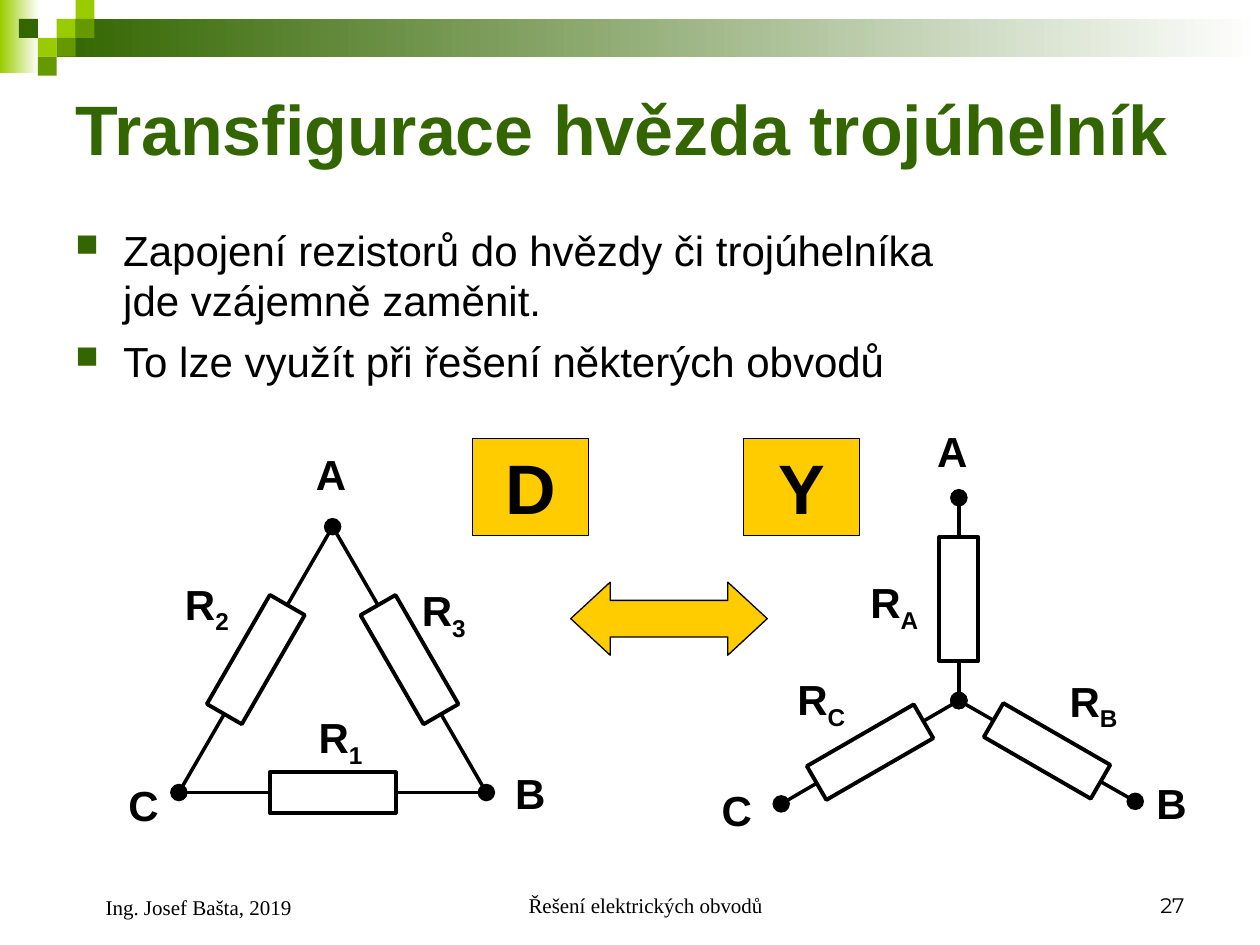
import math
from dataclasses import dataclass
from lxml import etree
from pptx import Presentation, util as u
from pptx.dml.color import RGBColor
from pptx.enum import shapes, text
from pptx.oxml.ns import qn

COLS, ROWS = 100, 75          # square cells of 0.1 inch
CELL = u.Inches(10) / COLS


@dataclass(frozen=True)
class Theme:
    dark: str = "336600"
    mid: str = "669900"
    light: str = "99CC00"
    gold: str = "FFCC00"
    ink: str = "000000"
    paper: str = "FFFFFF"
    font: str = "Arial"
    serif: str = "Times New Roman"
    number: str = "Montserrat"
    title: int = 40
    body: int = 24
    foot: int = 12


T = Theme()


def cells(*values):
    return [u.Emu(round(v * CELL)) for v in values]


def rgb(name):
    return RGBColor.from_string(name)


def add_sub(parent, tag, **attrs):
    return etree.SubElement(parent, qn(tag), attrs)


def shape(s, kind, x, y, w, h, fill, line=None):
    sp = s.shapes.add_shape(kind, *cells(x, y, w, h))
    sp.shadow.inherit = False
    if isinstance(fill, tuple):
        sp.fill.gradient()
        sp.fill.gradient_angle = 180
        for stop, color in zip(sp.fill.gradient_stops, fill):
            stop.color.rgb = rgb(color)
    else:
        sp.fill.solid()
        sp.fill.fore_color.rgb = rgb(fill)
    if line:
        sp.line.color.rgb = rgb(T.ink)
        sp.line.width = u.Pt(line)
    else:
        sp.line.fill.background()
    return sp


def style(p, size, font=T.font, color=T.ink, bold=False, align=None):
    p.font.size, p.font.name, p.font.bold = u.Pt(size), font, bold
    p.font.color.rgb = rgb(color)
    p.alignment = align


def textbox(s, x, y, w, h, anchor=text.MSO_ANCHOR.TOP):
    tf = s.shapes.add_textbox(*cells(x, y, w, h)).text_frame
    tf.word_wrap = True
    tf.vertical_anchor = anchor
    return tf


def indent(p, left, first=0):
    pPr = p._p.get_or_add_pPr()
    pPr.set("marL", str(u.Inches(left)))
    pPr.set("indent", str(u.Inches(first)))
    return pPr


def wire(s, start, end, head=False):
    cx = s.shapes.add_connector(shapes.MSO_CONNECTOR.STRAIGHT,
                                *cells(*start, *end))
    cx.line.color.rgb = rgb(T.ink)
    cx.line.width = u.Pt(2)
    ln = cx.line._get_or_add_ln()
    for tag in (["a:headEnd"] if head else []) + ["a:tailEnd"]:
        add_sub(ln, tag, type="oval", w="lg", len="lg")
    add_sub(cx._element.spPr, "a:effectLst")


def branch(s, start, end, size, head=False):
    """A wire with a resistor centred on it and turned along it."""
    wire(s, start, end, head)
    (x1, y1), (x2, y2), (w, h) = start, end, size
    sp = shape(s, shapes.MSO_SHAPE.RECTANGLE, (x1 + x2 - w) / 2,
               (y1 + y2 - h) / 2, w, h, T.paper, 2.25)
    sp.rotation = round(math.degrees(math.atan2(y2 - y1, x2 - x1)))


def label(s, x, y, name):
    """First letter is the symbol, the rest its subscript."""
    p = textbox(s, x, y, 4.7 if len(name) == 1 else 7, 5).paragraphs[0]
    p.add_run().text = name[0]
    if name[1:]:
        r = p.add_run()
        r.text = name[1:]
        r._r.get_or_add_rPr().set("baseline", "-25000")
    style(p, T.body, bold=True)


def circuit(s, box, nodes, branches, labels, size, head=False):
    x0, y0 = box
    at = {k: (x0 + x, y0 + y) for k, (x, y) in nodes.items()}
    for a, b in branches:
        branch(s, at[a], at[b], size, head)
    for name, (x, y) in labels.items():
        label(s, x0 + x, y0 + y, name)


def delta(s, box):
    circuit(s, box, {"A": (17.4, 6.8), "B": (29.6, 27.9), "C": (5.2, 27.9)},
            ["CB", "BA", "AC"],
            {"R3": (23.5, 10.9), "R1": (15.3, 21), "R2": (4.7, 10.4),
             "A": (15.1, 0.1), "C": (0.2, 26.4), "B": (30.9, 25.4)},
            (10, 3.2))


def star(s, box):
    circuit(s, box, {"A": (20.1, 6.5), "B": (34.1, 30.6), "C": (6, 30.8),
                     "O": (20.1, 22.6)},
            ["AO", "OB", "OC"],
            {"RA": (12.1, 12.3), "RB": (27.9, 20.1), "RC": (6.3, 20),
             "A": (17.4, 0.3), "B": (34.8, 28.2), "C": (0.3, 28.8)},
            (9.8, 3.1), head=True)


def header(s, box):
    x, y, w = box
    rect = shapes.MSO_SHAPE.RECTANGLE
    shape(s, rect, x, y, 3.1, 5.8, (T.paper, T.light))
    shape(s, rect, x + 4.5, y + 1.5, w - 4.5, 3, (T.paper, T.dark))
    # checker squares: column, row, colour
    for col, row, color in [(3, 1, T.light), (4, 0, T.light), (4, 1, T.mid),
                            (2, 2, T.light), (1, 1, T.dark), (3, 2, T.mid),
                            (2, 3, T.mid)]:
        shape(s, rect, x + 1.5 * col, y + 1.5 * row, 1.5, 1.5, color)


def title(s, box):
    p = textbox(s, *box, text.MSO_ANCHOR.MIDDLE).paragraphs[0]
    p.text = "Transfigurace hvězda trojúhelník"
    style(p, T.title, color=T.dark, bold=True)


def body(s, box):
    tf = textbox(s, *box)
    lines = ["Zapojení rezistorů do hvězdy či trojúhelníka\vjde vzájemně zaměnit.",
             "To lze využít při řešení některých obvodů"]
    for i, line in enumerate(lines):
        p = tf.add_paragraph() if i else tf.paragraphs[0]
        p.text = line
        pPr = indent(p, 0.38, -0.38)
        add_sub(add_sub(pPr, "a:buClr"), "a:srgbClr", val=T.dark)
        add_sub(pPr, "a:buSzPct", val="75000")
        add_sub(pPr, "a:buChar", char="■")
        style(p, T.body)
        p.space_before = u.Pt(6 if i else 0)


def exchange(s, box):
    x, y = box
    sp = shape(s, shapes.MSO_SHAPE.LEFT_RIGHT_ARROW, x + 7.8, y + 11.4,
               15.6, 5.8, T.gold, 0.75)
    sp.adjustments[1] = 0.54
    for i, name in enumerate("DY"):
        tf = shape(s, shapes.MSO_SHAPE.RECTANGLE, x + 21.5 * i, y, 9.2, 7.7,
                   T.gold, 0.75).text_frame
        tf.vertical_anchor = text.MSO_ANCHOR.TOP
        tf.text = name
        style(tf.paragraphs[0], T.title, bold=True, align=text.PP_ALIGN.CENTER)


def footer(s, box):
    x, y, h = box
    al = text.PP_ALIGN
    for dx, w, extra, words, font, align, left in [
            (29.2, 31.7, 0, "Řešení elektrických obvodů", T.serif, al.CENTER, 0.24),
            (66.7, 23.3, 0, "27", T.number, al.RIGHT, 0),
            (0, 23.3, 0.2, "Ing. Josef Bašta, 2019", T.serif, al.LEFT, 0.24)]:
        p = textbox(s, x + dx, y, w, h + extra, text.MSO_ANCHOR.BOTTOM).paragraphs[0]
        p.text = words
        indent(p, left)
        style(p, T.foot, font, align=align)


def main():
    prs = Presentation()
    prs.slide_width, prs.slide_height = cells(COLS, ROWS)
    s = prs.slides.add_slide(prs.slide_layouts[6])
    header(s, (0, 0, COLS))
    title(s, (5, 5, 90, 10.3))
    body(s, (5, 17.3, 90, 14.4))
    exchange(s, (37.5, 34.8))
    delta(s, (9, 35))
    star(s, (56, 33))
    footer(s, (5, 68.3, 5))
    prs.save("out.pptx")


if __name__ == "__main__":
    main()
